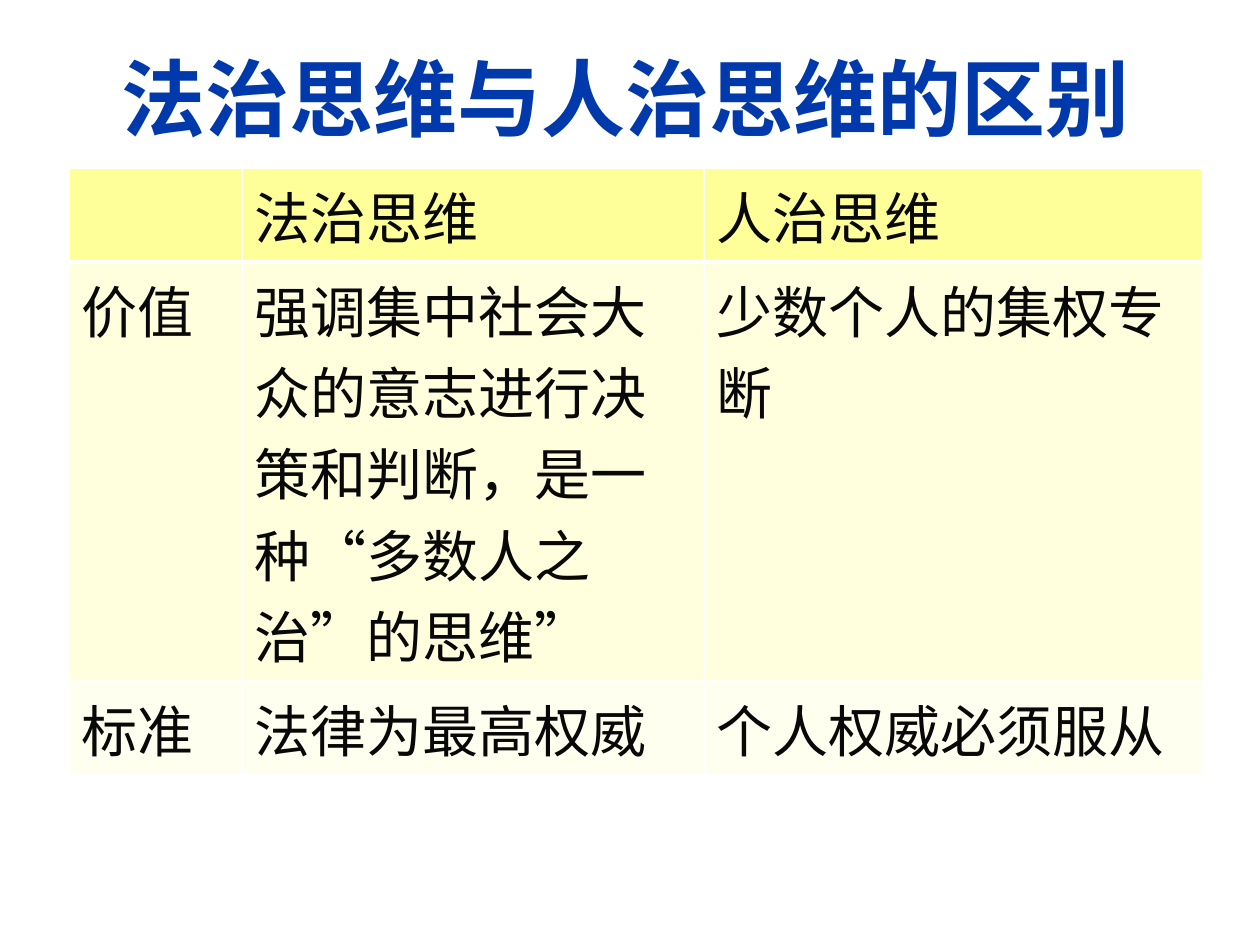
from lxml.etree import SubElement
from pptx import Presentation
from pptx.dml.color import RGBColor
from pptx.enum.text import MSO_ANCHOR, PP_ALIGN
from pptx.oxml.ns import qn
from pptx.util import Emu, Pt

PX_PER_INCH = 126
COLUMN_WIDTHS = (173, 462, 498)
ROW_HEIGHTS = (93, 419, 93)
ROW_FILLS = ("FFFF99", "FFFFDE", "FFFFEF")
ROWS = (
    ("", "法治思维", "人治思维"),
    ("价值", "强调集中社会大众的意志进行决策和判断，是一种“多数人之治”的思维”", "少数个人的集权专断"),
    ("标准", "法律为最高权威", "个人权威必须服从"),
)


def px(length):
    return Emu(round(length * 914400 / PX_PER_INCH))


def color(hex_string):
    return RGBColor.from_string(hex_string)


def format_text(text_frame, font_name, size, hex_string, alignment, bold):
    for paragraph in text_frame.paragraphs:
        paragraph.alignment = alignment
        for run in paragraph.runs:
            run.font.name = font_name
            run.font.size = Pt(size)
            run.font.bold = bold
            run.font.color.rgb = color(hex_string)


def add_title(slide, text):
    title = slide.shapes.title
    title.left, title.top, title.width, title.height = px(59), px(0), px(1134), px(193)
    title.text_frame.text = text
    title.text_frame.word_wrap = True
    title.text_frame.vertical_anchor = MSO_ANCHOR.MIDDLE
    format_text(title.text_frame, "Arial", 48, "0039AC", PP_ALIGN.CENTER, True)


def set_borders(cell, hex_string, bottom_width):
    """Draw 1 pt lines on the cell's sides and top, and the given width below."""
    properties = cell._tc.get_or_add_tcPr()
    for side, width in (("L", 1), ("R", 1), ("T", 1), ("B", bottom_width)):
        line = SubElement(properties, qn(f"a:ln{side}"), w=str(Pt(width)))
        fill = SubElement(line, qn("a:solidFill"))
        SubElement(fill, qn("a:srgbClr"), val=hex_string)


def format_cell(cell, text, fill, bottom_width):
    cell.text_frame.text = text
    format_text(cell.text_frame, "Cabin", 32, "080808", PP_ALIGN.LEFT, False)
    set_borders(cell, "FFFFFF", bottom_width)
    cell.fill.solid()
    cell.fill.fore_color.rgb = color(fill)


def add_comparison_table(slide):
    table = slide.shapes.add_table(
        len(ROWS), len(COLUMN_WIDTHS), px(69), px(168),
        px(sum(COLUMN_WIDTHS)), px(sum(ROW_HEIGHTS)),
    ).table
    for column, width in zip(table.columns, COLUMN_WIDTHS):
        column.width = px(width)
    for row_index, (row, height) in enumerate(zip(table.rows, ROW_HEIGHTS)):
        row.height = px(height)
        bottom_width = 3 if row_index == 0 else 1
        for cell, text in zip(row.cells, ROWS[row_index]):
            format_cell(cell, text, ROW_FILLS[row_index], bottom_width)


def main():
    presentation = Presentation()
    presentation.slide_width, presentation.slide_height = px(1260), px(945)
    slide = presentation.slides.add_slide(presentation.slide_layouts[5])
    slide.background.fill.solid()
    slide.background.fill.fore_color.rgb = color("FFFFFF")
    add_title(slide, "法治思维与人治思维的区别")
    add_comparison_table(slide)
    presentation.save("out.pptx")


if __name__ == "__main__":
    main()
